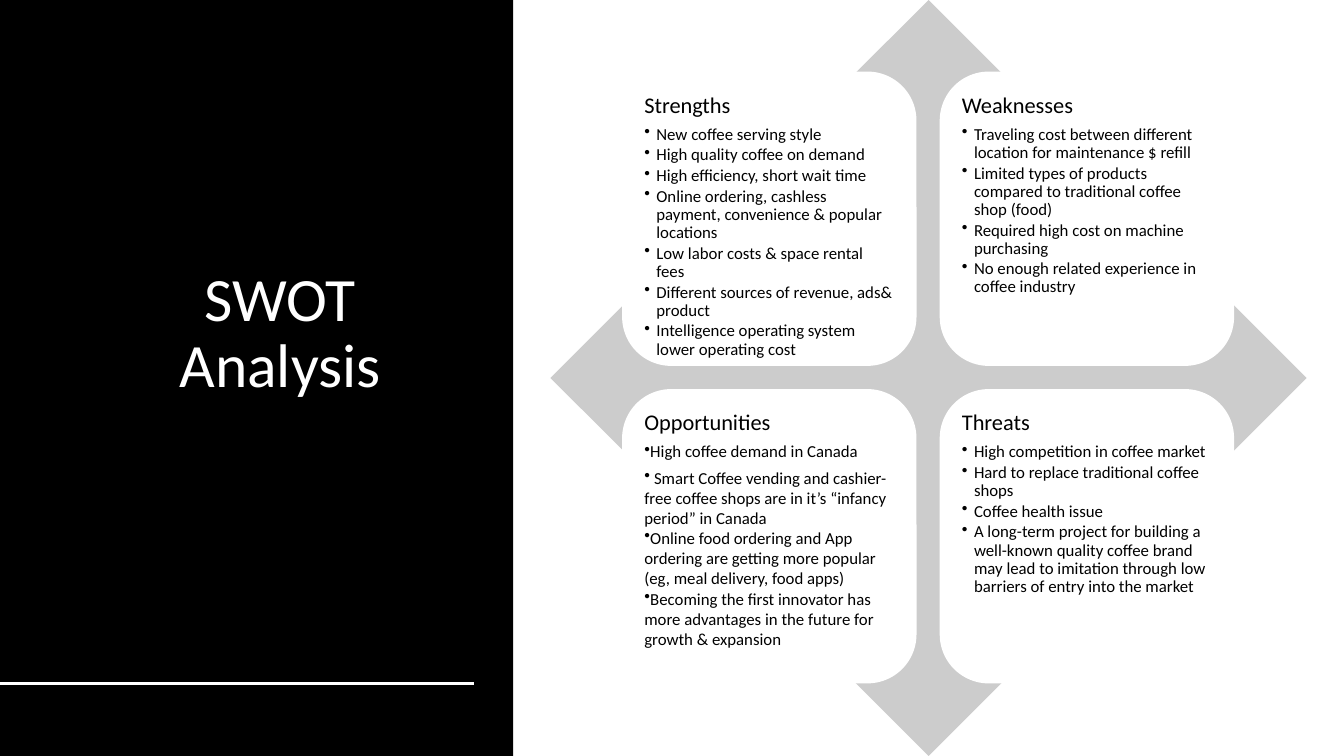
import pptx
import pptx.dml.color
import pptx.enum.shapes
import pptx.enum.text
import pptx.oxml
import pptx.oxml.ns
import pptx.util
from pptx.util import Inches

SHAPES = pptx.enum.shapes.MSO_SHAPE
ANCHOR = pptx.enum.text.MSO_ANCHOR
ALIGN = pptx.enum.text.PP_ALIGN

COLORS = {"panel": "000000", "paper": "FFFFFF", "arrows": "CCCCCC", "ink": "000000"}


class SwotSlide:
    font = "Calibri"
    tight = 0.9  # line spacing of headings and hanging bullets

    def __init__(self, slide):
        self.slide = slide

    def color(self, name):
        return pptx.dml.color.RGBColor.from_string(COLORS[name])

    def shape(self, preset, left, top, width, height, fill):
        shape = self.slide.shapes.add_shape(
            preset, Inches(left), Inches(top), Inches(width), Inches(height))
        shape.shadow.inherit = False
        shape.fill.solid()
        shape.fill.fore_color.rgb = self.color(fill)
        shape.line.fill.background()

    def rule(self, left, right, y, color, points):
        rule = self.slide.shapes.add_connector(
            pptx.enum.shapes.MSO_CONNECTOR.STRAIGHT,
            Inches(left), Inches(y), Inches(right), Inches(y))
        rule.line.color.rgb = self.color(color)
        rule.line.width = pptx.util.Pt(points)
        rule._element.spPr.append(pptx.oxml.parse_xml(
            "<a:effectLst %s/>" % pptx.oxml.ns.nsdecls("a")))

    def text_frame(self, left, top, width, height, inset, anchor=ANCHOR.TOP):
        frame = self.slide.shapes.add_textbox(
            Inches(left), Inches(top), Inches(width), Inches(height)).text_frame
        frame.word_wrap = True
        frame.vertical_anchor = anchor
        frame.margin_left = frame.margin_right = Inches(inset)
        frame.margin_top = frame.margin_bottom = Inches(inset)
        return frame

    def run(self, paragraph, text, size, color):
        run = paragraph.add_run()
        run.text = text
        run.font.name = self.font
        run.font.size = pptx.util.Pt(size)
        run.font.color.rgb = self.color(color)

    def title(self, lines, left, top, width, height):
        frame = self.text_frame(left, top, width, height, 0.1, ANCHOR.MIDDLE)
        paragraph = frame.paragraphs[0]
        paragraph.alignment = ALIGN.CENTER
        paragraph.line_spacing = self.tight
        for number, line in enumerate(lines):
            if number:
                paragraph.add_line_break()
            self.run(paragraph, line, 44, "paper")

    def bullet(self, frame, text, hanging, spacing, after):
        paragraph = frame.add_paragraph()
        paragraph.line_spacing = spacing
        paragraph.space_after = pptx.util.Pt(after)
        properties = paragraph._p.get_or_add_pPr()
        properties.set("marL", str(Inches(hanging)))
        properties.set("indent", str(-Inches(hanging)))
        properties.append(pptx.oxml.parse_xml(
            '<a:buChar %s char="•"/>' % pptx.oxml.ns.nsdecls("a")))
        self.run(paragraph, text, 12, "ink")

    def quadrant(self, left, top, heading, points, hanging):
        side, pad = 2.92, 0.15
        self.shape(SHAPES.ROUNDED_RECTANGLE, left, top, side, side, "paper")
        frame = self.text_frame(
            left + pad, top + pad, side - 2 * pad, side - 2 * pad, 0.07)
        frame.paragraphs[0].line_spacing = self.tight
        frame.paragraphs[0].space_after = pptx.util.Pt(5.6)
        self.run(frame.paragraphs[0], heading, 16, "ink")
        for number, point in enumerate(points):
            if hanging:
                self.bullet(frame, point, 0.12, self.tight, 1.8)
            elif number == 0:
                self.bullet(frame, point, 0, self.tight, 4.2)
            else:
                self.bullet(frame, point, 0, 1.0, 0)


# Heading, points, whether the bullets hang; in reading order
QUADRANTS = [
    ("Strengths", [
        "New coffee serving style",
        "High quality coffee on demand",
        "High efficiency, short wait time",
        "Online ordering, cashless payment, convenience & popular locations",
        "Low labor costs & space rental fees",
        "Different sources of revenue, ads& product",
        "Intelligence operating system lower operating cost",
    ], True),
    ("Weaknesses", [
        "Traveling cost between different location for maintenance $ refill",
        "Limited types of products compared to traditional coffee shop (food)",
        "Required high cost on machine purchasing",
        "No enough related experience in coffee industry",
    ], True),
    ("Opportunities", [
        "High coffee demand in Canada",
        " Smart Coffee vending and cashier-free coffee shops are in it’s “infancy period” in Canada",
        "Online food ordering and App ordering are getting more popular (eg, meal delivery, food apps)",
        "Becoming the first innovator has more advantages in the future for growth & expansion",
    ], False),
    ("Threats", [
        "High competition in coffee market",
        "Hard to replace traditional coffee shops",
        "Coffee health issue",
        "A long-term project for building a well-known quality coffee brand may lead to "
        "imitation through low barriers of entry into the market",
    ], True),
]


def main():
    deck = pptx.Presentation()
    deck.slide_width, deck.slide_height = Inches(13.33), Inches(7.5)
    swot = SwotSlide(deck.slides.add_slide(deck.slide_layouts[6]))

    # Title panel
    swot.shape(SHAPES.RECTANGLE, 0, 0, 5.09, 7.5, "panel")
    swot.title(["SWOT", "Analysis"], 0.83, 0.61, 3.9, 5.42)
    swot.rule(0, 4.7, 6.78, "paper", 2)

    # Four-way arrows: a diamond partly covered by the quadrants
    swot.shape(SHAPES.DIAMOND, 5.46, 0, 7.5, 7.5, "arrows")
    for number, (heading, points, hanging) in enumerate(QUADRANTS):
        row, column = divmod(number, 2)
        swot.quadrant(6.17 + 3.15 * column, 0.71 + 3.15 * row, heading, points, hanging)

    deck.save("out.pptx")


if __name__ == "__main__":
    main()
